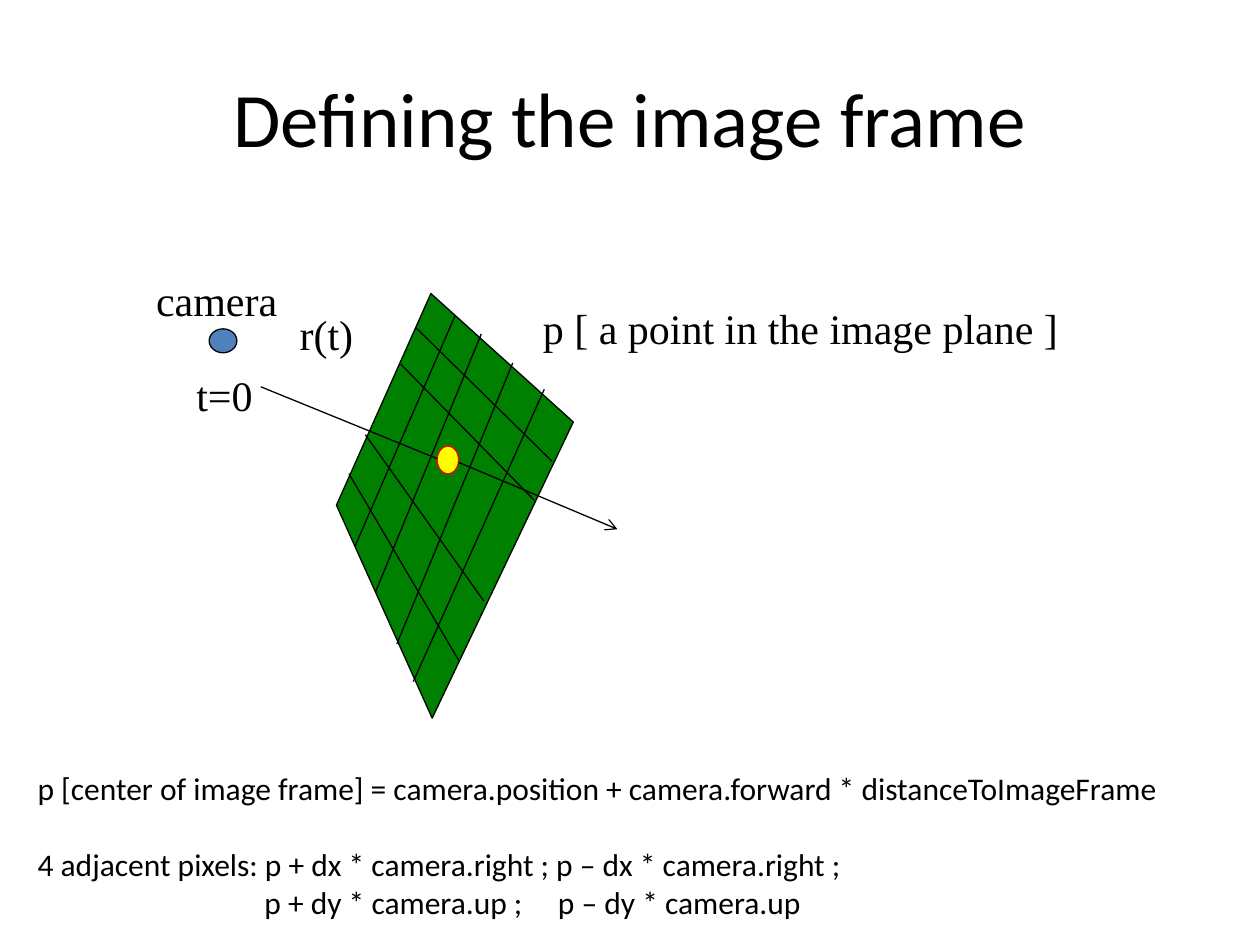
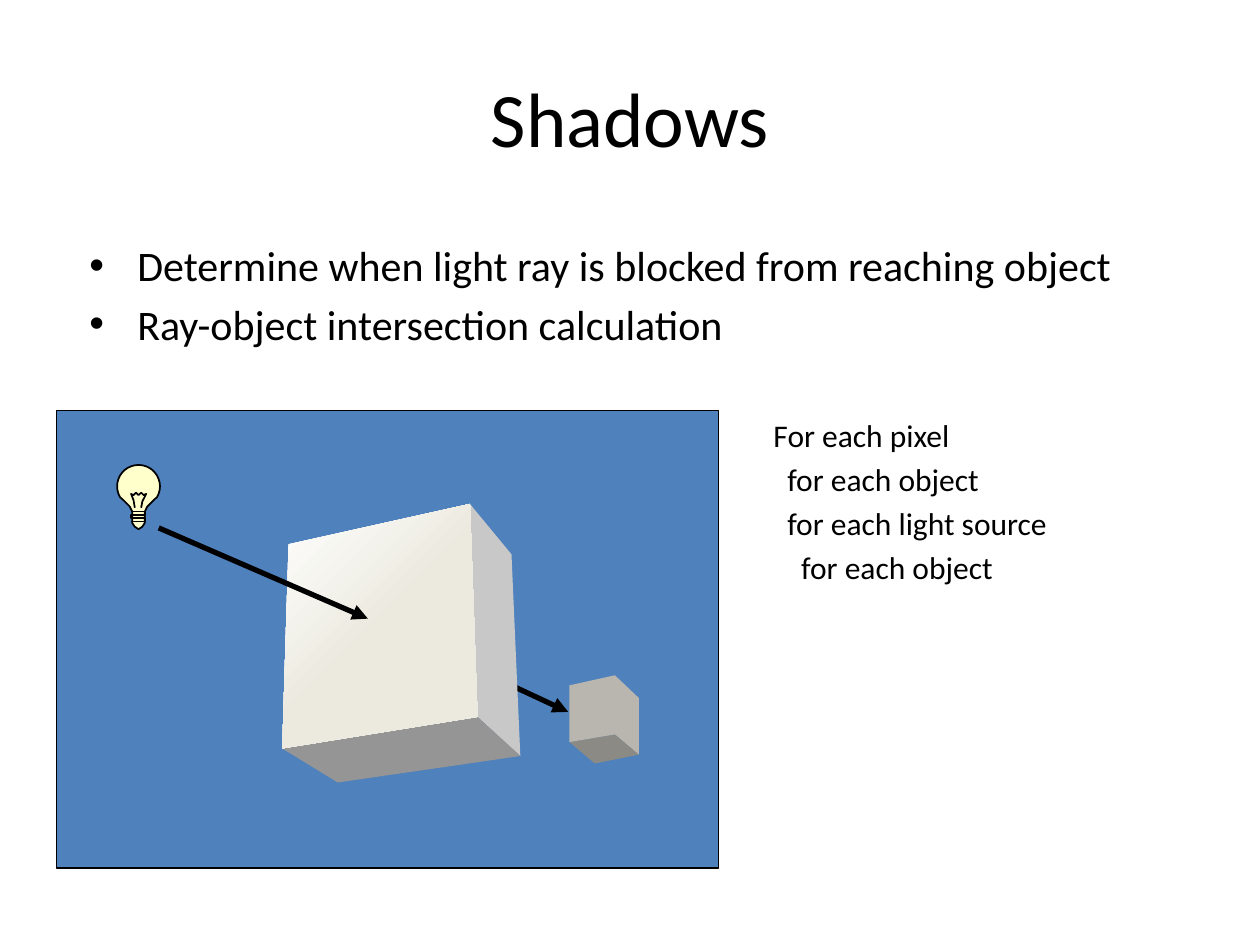
from math import cos, radians, sin

from lxml import etree
from pptx import Presentation
from pptx.dml.color import RGBColor
from pptx.enum.shapes import MSO_CONNECTOR, MSO_SHAPE
from pptx.enum.text import MSO_ANCHOR, PP_ALIGN
from pptx.oxml.ns import qn
from pptx.util import Pt

STRAIGHT = MSO_CONNECTOR.STRAIGHT
OVAL, RECT = MSO_SHAPE.OVAL, MSO_SHAPE.RECTANGLE
MIDDLE, CENTER = MSO_ANCHOR.MIDDLE, PP_ALIGN.CENTER

EMU_PER_PX = 9144  # 100 px to the inch
SANS, SERIF = "Calibri", "Times New Roman"
BLACK, BLUE, GREEN = "000000", "4F81BD", "008000"
YELLOW, RED, PALE = "FFFF00", "FF0000", "FFFFCC"
TITLE_BOX = (50, 30, 900, 125)
TITLE_ONLY, TITLE_AND_BODY = 5, 1


def px(n):
    return round(n * EMU_PER_PX)


def rgb(color):
    return RGBColor.from_string(color)


class Deck:
    def __init__(self):
        self.prs = Presentation()
        self.prs.slide_width, self.prs.slide_height = px(1000), px(750)
        self.s = None

    def slide(self, layout, title):
        self.s = self.prs.slides.add_slide(self.prs.slide_layouts[layout])
        sp = self.s.shapes.title
        self.place(sp, TITLE_BOX)
        sp.text_frame.text = title
        sp.text_frame.vertical_anchor = MIDDLE
        sp.text_frame.paragraphs[0].alignment = CENTER
        self.style_text(sp.text_frame, 44, SANS)

    def place(self, sp, box):
        sp.left, sp.top, sp.width, sp.height = map(px, box)

    def style_text(self, tf, size, font):
        for p in tf.paragraphs:
            for r in p.runs:
                r.font.size, r.font.name = Pt(size), font
                r.font.color.rgb = rgb(BLACK)

    def text(self, box, text, size=18, font=SANS):
        tf = self.s.shapes.add_textbox(*map(px, box)).text_frame
        tf.word_wrap = True
        tf.text = text
        self.style_text(tf, size, font)
        return tf

    def bullets(self, box, items, size=24):
        sp = self.s.placeholders[1]
        self.place(sp, box)
        sp.text_frame.text = "\n".join(items)
        self.style_text(sp.text_frame, size, SANS)
        for p in sp.text_frame.paragraphs:
            self.indent(p, 38, -38)

    def indent(self, p, left, first=0):
        pPr = p._p.get_or_add_pPr()
        pPr.set("marL", str(px(left)))
        pPr.set("indent", str(px(first)))

    def tab_stops(self, p, stops):
        tabs = etree.SubElement(p._p.get_or_add_pPr(), qn("a:tabLst"))
        for stop in stops:
            etree.SubElement(tabs, qn("a:tab"), pos=str(px(stop)), algn="l")

    def paint(self, sp, fill, line, width):
        sp.shadow.inherit = False
        if fill:
            sp.fill.solid()
            sp.fill.fore_color.rgb = rgb(fill)
        else:
            sp.fill.background()
        if line:
            sp.line.color.rgb = rgb(line)
            sp.line.width = Pt(width)
        else:
            sp.line.fill.background()
        return sp

    def shape(self, kind, box, fill, line=BLACK, width=0.75):
        sp = self.s.shapes.add_shape(kind, *map(px, box))
        return self.paint(sp, fill, line, width)

    def outline(self, points, fill=None, line=None, width=0.75, close=True):
        points = [(px(x), px(y)) for x, y in points]
        fb = self.s.shapes.build_freeform(*points[0])
        fb.add_line_segments(points[1:], close=close)
        return self.paint(fb.convert_to_shape(), fill, line, width)

    def line(self, start, end, width=0.75, head=None):
        cx = self.s.shapes.add_connector(STRAIGHT, *map(px, start + end))
        cx.line.color.rgb = rgb(BLACK)
        cx.line.width = Pt(width)
        if head:
            etree.SubElement(cx.line._get_or_add_ln(), qn("a:tailEnd"), type=head)
        etree.SubElement(cx._element.spPr, qn("a:effectLst"))

    def cube(self, front, back, colors):
        """front: four corners clockwise; back: top right, bottom right, bottom left."""
        tl, tr, br, bl = front
        back_tr, back_br, back_bl = back
        faces = ((tr, back_tr, back_br, br), (bl, br, back_br, back_bl), front)
        for face, color in zip(faces, colors):
            sp = self.outline(face, color)
        return sp

    def bulb(self, cx, cy, radius):
        # Glass: arc over the top, then the neck mirrored about the centre
        arc = [(cx + radius * cos(radians(a)), cy + radius * sin(radians(a)))
               for a in range(150, 391, 10)]
        neck = [(12, 11), (7, 16), (5, 20), (5, 29), (3, 32), (0, 34)]
        right = [(cx + x, cy + y) for x, y in neck]
        left = [(cx - x, cy + y) for x, y in reversed(neck[:-1])]
        self.outline(arc + right + left, PALE, BLACK, 1)
        # Filament and screw thread
        filament = [(-3, 17), (-4, 11), (-6, 6), (-4, 7), (-2, 5), (0, 7),
                    (2, 5), (4, 7), (6, 6), (3, 12), (2, 17)]
        thread = [(-6, 20), (5, 20), (5, 23), (-6, 23),
                  (-6, 25), (5, 25), (5, 28), (-6, 28)]
        for wire in (filament, thread):
            self.outline([(cx + x, cy + y) for x, y in wire],
                         line=BLACK, width=1, close=False)


def image_frame(d):
    d.slide(TITLE_ONLY, "Defining the image frame")

    # Image plane with its pixel grid
    d.outline([(342, 233), (455, 335), (343, 570), (267, 401)], GREEN, BLACK)
    d.shape(OVAL, (166, 261, 22, 19), BLUE)
    rows = [((330, 260), (438, 366)), ((290, 345), (384, 477)),
            ((318, 289), (424, 397)), ((277, 376), (364, 524))]
    columns = [((361, 251), (282, 433)), ((382, 265), (298, 470)),
               ((407, 288), (315, 511)), ((432, 309), (328, 541))]
    for start, end in rows + columns:
        d.line(start, end)

    # Ray through point p
    d.shape(OVAL, (347, 354, 17, 22), YELLOW, RED)
    d.line((207, 307), (347, 364))
    d.line((364, 367), (490, 420), head="arrow")

    # Labels
    for box, label in [((114, 213, 155, 51), "camera"),
                       ((421, 235, 433, 50), "p [ a point in the image plane ]"),
                       ((228, 240, 63, 51), "r(t)"),
                       ((146, 288, 65, 51), "t=0")]:
        d.text(box, label, 24, SERIF)

    # Formulas
    tf = d.text((20, 605, 942, 131), "\n".join([
        "p [center of image frame] = camera.position + camera.forward * distanceToImageFrame",
        "4 adjacent pixels: p + dx * camera.right ; p – dx * camera.right ;",
        "\tp + dy * camera.up ;\tp – dy * camera.up"]))
    tf.paragraphs[1].space_before = Pt(22)
    d.tab_stops(tf.paragraphs[2], (180, 413))


def shadows(d):
    d.slide(TITLE_AND_BODY, "Shadows")
    d.bullets((61, 185, 875, 102), [
        "Determine when light ray is blocked from reaching object",
        "Ray-object intersection calculation"])

    # Scene: the large cube blocks the light from the small one
    d.shape(RECT, (45, 326, 525, 363), BLUE)
    d.line((292, 491), (451, 565), 3, "triangle")
    d.bulb(110, 386, 17)
    front = d.cube([(229, 432), (373, 400), (379, 569), (224, 594)],
                   [(406, 440), (413, 600), (268, 621)],
                   ("C8C8C8", "959595", "ECEADF"))
    front.fill.gradient()
    front.fill.gradient_angle = 315
    for stop, color, position in zip(front.fill.gradient_stops,
                                     ("FFFFFF", "ECEADF"), (0, 0.5)):
        stop.color.rgb = rgb(color)
        stop.position = position
    d.cube([(452, 544), (488, 536), (488, 583), (452, 589)],
           [(507, 554), (507, 599), (472, 606)],
           ("B8B6AE", "8C8A84", "B8B6AE"))
    d.line((126, 419), (292, 491), 3, "triangle")

    # Nested loops
    loops = [(0, "For each pixel"), (1, "for each object"),
             (1, "for each light source"), (2, "for each object")]
    tf = d.text((604, 325, 355, 242), "\n".join(loop for _, loop in loops))
    for p, (level, _) in zip(tf.paragraphs, loops):
        d.indent(p, 11 * level)
        p.space_before = Pt(3.6)


def main():
    d = Deck()
    image_frame(d)
    shadows(d)
    d.prs.save("out.pptx")


if __name__ == "__main__":
    main()
